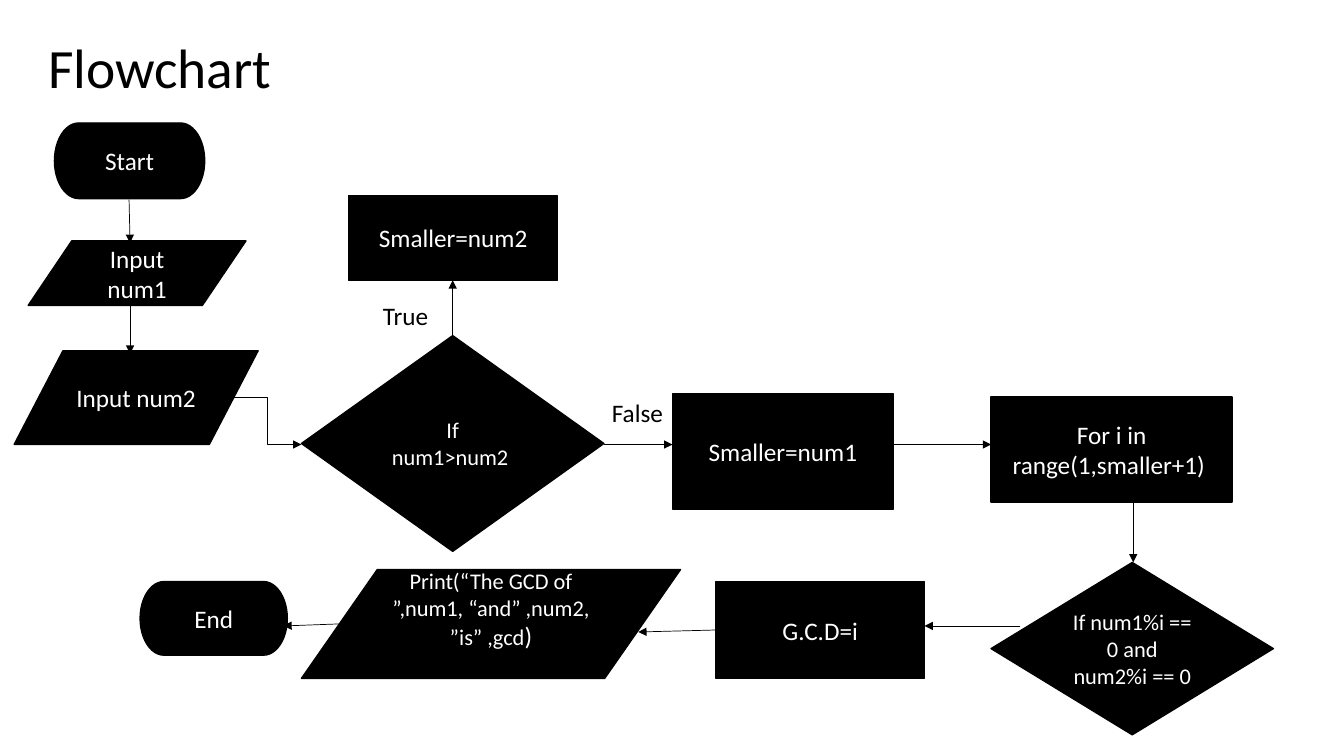
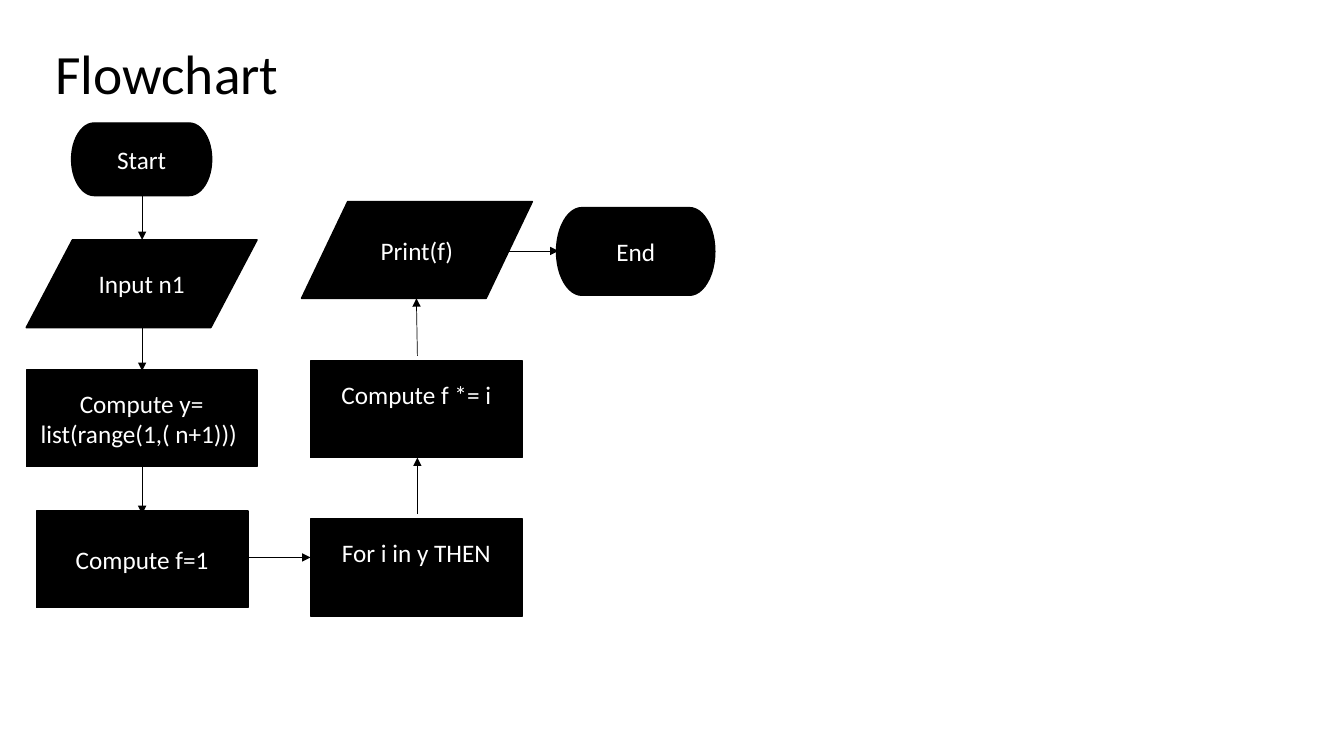
from lxml import etree
from pptx import Presentation, util as u
from pptx.dml.color import RGBColor
from pptx.enum import shapes, text
from pptx.oxml.ns import qn

PX = 9144  # 100 px to the inch
INK = RGBColor(0, 0, 0)
PAPER = RGBColor(255, 255, 255)
FONT = "Calibri"
BODY, SMALL, HEAD = 18, 16, 39.6

KIND = shapes.MSO_SHAPE
TERM = KIND.FLOWCHART_TERMINATOR
DATA = KIND.FLOWCHART_DATA
STEP = KIND.FLOWCHART_PROCESS
TEST = KIND.FLOWCHART_DECISION
BEND = shapes.MSO_CONNECTOR.ELBOW
LINE = shapes.MSO_CONNECTOR.STRAIGHT
LIFT = 35  # bottom inset that raises the text of a box


def px(*nums):
    return [u.Emu(n * PX) for n in nums]


def write(para, words, size, color):
    run = para.add_run()
    run.text = words
    run.font.name = FONT
    run.font.size = u.Pt(size)
    run.font.color.rgb = color


def label(slide, at, words, size=BODY, wrap=True):
    frame = slide.shapes.add_textbox(*px(*at)).text_frame
    frame.word_wrap = wrap
    write(frame.paragraphs[0], words, size, INK)
    return frame


def title(slide, at, words):
    frame = label(slide, at, words, HEAD)
    frame.vertical_anchor = text.MSO_ANCHOR.MIDDLE
    frame.paragraphs[0].line_spacing = 0.9


def box(slide, kind, at, *runs, low=5):
    """Add a flow symbol; each run is a (words, size) pair."""
    shape = slide.shapes.add_shape(kind, *px(*at))
    shape.shadow.inherit = False
    shape.fill.solid()
    shape.fill.fore_color.rgb = INK
    shape.line.color.rgb = INK
    shape.line.width = u.Pt(1)
    frame = shape.text_frame
    frame.word_wrap = True
    frame.vertical_anchor = text.MSO_ANCHOR.MIDDLE
    frame.margin_bottom = px(low)[0]
    para = frame.paragraphs[0]
    para.alignment = text.PP_ALIGN.CENTER
    for words, size in runs:
        write(para, words, size, PAPER)


def arrow(slide, ends, kind=LINE):
    link = slide.shapes.add_connector(kind, *px(*ends))
    link.line.color.rgb = INK
    link.line.width = u.Pt(0.5)
    tip = etree.SubElement(link.line._get_or_add_ln(), qn("a:tailEnd"))
    tip.set("type", "triangle")
    etree.SubElement(link._element.spPr, qn("a:effectLst"))


def gcd(slide):
    title(slide, (38, 40, 1204, 60), "Flowchart")

    # Flow lines
    arrow(slide, (232, 394, 299, 441), BEND)
    for ends in [
        (128, 198, 129, 241), (129, 301, 129, 351),
        (449, 333, 449, 278), (599, 441, 667, 441),
        (886, 441, 983, 441), (1124, 498, 1124, 558),
        (1012, 621, 917, 621), (710, 625, 633, 627),
        (336, 619, 281, 621),
    ]:
        arrow(slide, ends)

    # Symbols
    for kind, at, words, size in [
        (TERM, (54, 122, 149, 75), "Start", BODY),
        (DATA, (28, 239, 216, 64), "Input num1", BODY),
        (DATA, (14, 348, 242, 93), "Input num2", BODY),
        (TEST, (299, 333, 300, 214), "If num1>num2 ", SMALL),
        (STEP, (346, 194, 207, 84), "Smaller=num2", BODY),
        (STEP, (667, 391, 219, 114), "Smaller=num1", BODY),
        (STEP, (983, 394, 239, 104), "For i in range(1,smaller+1) ", BODY),
        (TEST, (983, 558, 280, 171), "If num1%i == 0 and num2%i == 0", SMALL),
        (STEP, (710, 577, 207, 96), "G.C.D=i", BODY),
        (TERM, (139, 577, 146, 73), "End", BODY),
    ]:
        box(slide, kind, at, (words, size))
    box(slide, DATA, (299, 565, 376, 108),
        ("Print(“The GCD of ”,num1, “and” ,num2, ”is” ,gcd", SMALL),
        (")", BODY), low=LIFT)

    # Branch labels
    label(slide, (370, 293, 67, 40), "True")
    label(slide, (597, 389, 71, 40), "False", wrap=False)


def product(slide):
    title(slide, (45, 40, 1197, 72), "Flowchart")

    # Flow lines
    for ends in [
        (141, 194, 141, 238), (141, 325, 141, 368),
        (141, 454, 141, 510), (246, 553, 308, 553),
        (414, 510, 414, 454), (414, 353, 413, 296),
        (497, 249, 554, 249),
    ]:
        arrow(slide, ends)

    # Symbols
    for kind, at, words, low in [
        (TERM, (71, 122, 139, 72), "Start", 5),
        (DATA, (26, 238, 229, 87), "Input n1", 5),
        (STEP, (26, 367, 229, 96), "Compute y= list(range(1,( n+1))) ", 5),
        (STEP, (36, 507, 210, 96), "Compute f=1", 5),
        (STEP, (308, 515, 210, 96), "For i in y THEN", LIFT),
        (STEP, (308, 358, 210, 96), "Compute f *= i", LIFT),
        (DATA, (299, 200, 229, 96), "Print(f)", 5),
        (TERM, (552, 206, 157, 87), "End", 5),
    ]:
        box(slide, kind, at, (words, BODY), low=low)


def main():
    deck = Presentation()
    deck.slide_width, deck.slide_height = px(1333, 750)
    for draw in (gcd, product):
        draw(deck.slides.add_slide(deck.slide_layouts[6]))
    deck.save("out.pptx")


if __name__ == "__main__":
    main()
